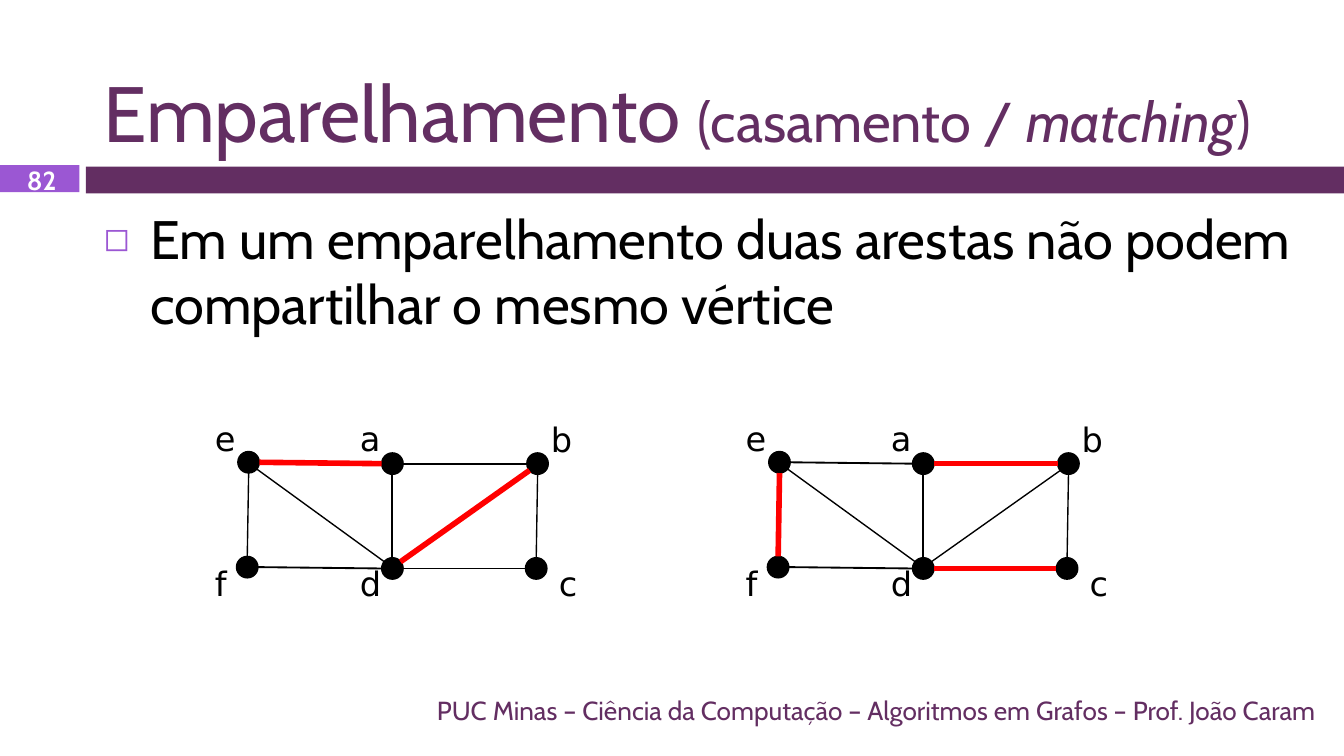
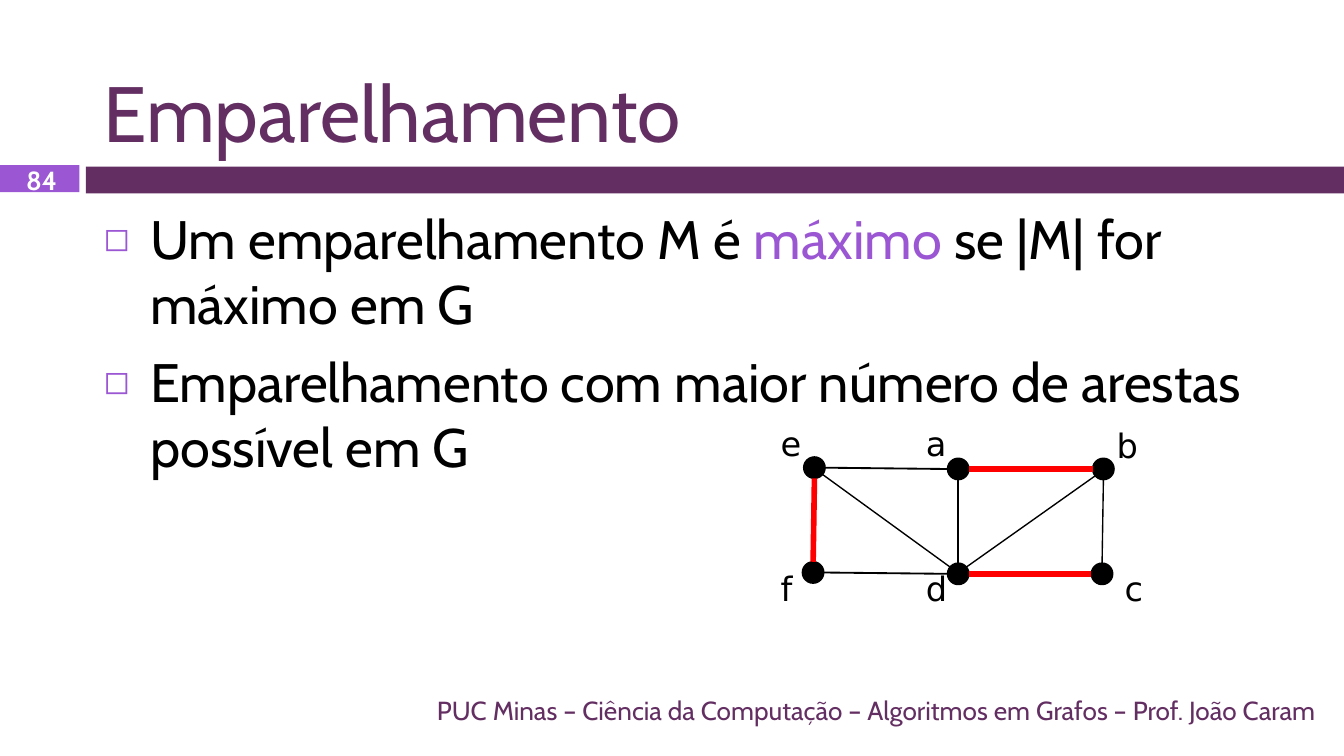
import math
from typing import NamedTuple, Optional

from lxml import etree
from pptx import Presentation
from pptx import util as u
from pptx.dml.color import RGBColor
from pptx.enum import shapes, text
from pptx.oxml.ns import qn

EMU_PER_PX = 9144  # 100 px to the inch
SLIDE_WIDTH = 1000

PLUM = RGBColor(0x63, 0x2E, 0x62)
VIOLET = RGBColor(0x9B, 0x57, 0xD3)
BLACK = RGBColor(0x00, 0x00, 0x00)
RED = RGBColor(0xFF, 0x00, 0x00)
WHITE = RGBColor(0xFF, 0xFF, 0xFF)

BODY_FONT = "Cabin"
LABEL_FONT = "DejaVu Sans"
FOOTER = "PUC Minas – Ciência da Computação – Algoritmos em Grafos – Prof. João Caram"

DIAMETER = 16
HAIRLINE, THIN, THICK = 0.75, 1, 3


class Box(NamedTuple):
    left: int
    top: int
    width: int
    height: int


class Span(NamedTuple):
    text: str
    size: Optional[int] = None
    italic: Optional[bool] = None
    color: Optional[RGBColor] = None


class Style(NamedTuple):
    size: int
    color: RGBColor
    font: str = BODY_FONT
    bold: bool = False
    align: text.PP_ALIGN = text.PP_ALIGN.LEFT
    anchor: text.MSO_ANCHOR = text.MSO_ANCHOR.TOP
    bulleted: bool = False


class Vertex(NamedTuple):
    """Corner of the dot and of its label, counted from the graph's origin."""
    x: int
    y: int
    label_x: int
    label_y: int


class Graph(NamedTuple):
    left: int
    top: int
    matching: tuple[str, ...]


class Page(NamedTuple):
    number: str
    title: list[Span]
    points: list[list[Span]]
    graphs: list[Graph]


TITLE = Style(42, PLUM, anchor=text.MSO_ANCHOR.BOTTOM)
POINT = Style(29, BLACK, bulleted=True)
NUMBER = Style(14, WHITE, bold=True, align=text.PP_ALIGN.CENTER, anchor=text.MSO_ANCHOR.MIDDLE)
CREDIT = Style(14, PLUM, align=text.PP_ALIGN.RIGHT, anchor=text.MSO_ANCHOR.MIDDLE)
LABEL = Style(18, BLACK, font=LABEL_FONT)

VERTICES = {
    "e": Vertex(0, 0, -27, -30),
    "a": Vertex(107, 1, 81, -30),
    "b": Vertex(215, 1, 223, -29),
    "f": Vertex(-1, 78, -27, 78),
    "d": Vertex(107, 79, 81, 78),
    "c": Vertex(214, 79, 229, 78),
}
EDGES = {
    "ea": THIN, "ab": THIN, "fd": THIN, "dc": THIN,
    "ef": HAIRLINE, "ad": THIN, "bc": HAIRLINE, "ed": HAIRLINE, "bd": HAIRLINE,
}

MAXIMUM_MATCHING = ("ef", "ab", "dc")
PAGES = [
    Page(
        "82",
        [Span("Emparelhamento "), Span("(casamento / ", 30),
         Span("matching", 30, True), Span(")", 30)],
        [[Span("Em um emparelhamento duas arestas não podem compartilhar o mesmo vértice")]],
        [Graph(177, 336, ("ea", "bd")), Graph(572, 336, MAXIMUM_MATCHING)],
    ),
    Page(
        "84",
        [Span("Emparelhamento")],
        [[Span("Um emparelhamento M é "), Span("máximo ", color=VIOLET),
          Span("se |M| for máximo em G")],
         [Span("Emparelhamento com maior número de arestas possível em G")]],
        [Graph(598, 340, MAXIMUM_MATCHING)],
    ),
]


def px(length: int) -> u.Emu:
    return u.Emu(length * EMU_PER_PX)


def add_bullet(paragraph) -> None:
    props = paragraph._p.get_or_add_pPr()
    props.set("marL", str(px(35)))
    props.set("indent", str(px(-35)))
    color = etree.SubElement(props, qn("a:buClr"))
    etree.SubElement(color, qn("a:srgbClr"), val=str(VIOLET))
    etree.SubElement(props, qn("a:buSzPct"), val="60000")
    etree.SubElement(props, qn("a:buFont"), typeface=LABEL_FONT)
    etree.SubElement(props, qn("a:buChar"), char="◻")


def add_text(slide, box: Box, paragraphs: list[list[Span]], style: Style) -> None:
    frame = slide.shapes.add_textbox(*map(px, box)).text_frame
    frame.word_wrap = True
    frame.vertical_anchor = style.anchor
    for index, spans in enumerate(paragraphs):
        paragraph = frame.add_paragraph() if index else frame.paragraphs[0]
        if style.bulleted:
            add_bullet(paragraph)
        if index:
            paragraph.space_before = u.Pt(7)
        paragraph.alignment = style.align
        font = paragraph.font
        font.name, font.size, font.bold = style.font, u.Pt(style.size), style.bold
        font.color.rgb = style.color
        for span in spans:
            run = paragraph.add_run()
            run.text = span.text
            if span.size:
                run.font.size = u.Pt(span.size)
            if span.italic:
                run.font.italic = True
            if span.color is not None:
                run.font.color.rgb = span.color


def add_filled(slide, kind: shapes.MSO_SHAPE, box: Box, color: RGBColor):
    shape = slide.shapes.add_shape(kind, *map(px, box))
    shape.shadow.inherit = False
    shape.fill.solid()
    shape.fill.fore_color.rgb = color
    shape.line.fill.background()
    return shape


def add_edge(slide, graph: Graph, ends: str) -> None:
    """Draw a line between the rims of two vertices."""
    start, finish = (VERTICES[name] for name in ends)
    dx, dy = finish.x - start.x, finish.y - start.y
    radius = DIAMETER // 2
    trim = radius / math.hypot(dx, dy)
    trim_x, trim_y = round(dx * trim), round(dy * trim)
    left, top = graph.left + radius, graph.top + radius
    edge = slide.shapes.add_connector(
        shapes.MSO_CONNECTOR.STRAIGHT,
        px(left + start.x + trim_x), px(top + start.y + trim_y),
        px(left + finish.x - trim_x), px(top + finish.y - trim_y))
    matched = ends in graph.matching
    edge.line.color.rgb = RED if matched else BLACK
    edge.line.width = u.Pt(THICK if matched else EDGES[ends])
    etree.SubElement(edge._element.spPr, qn("a:effectLst"))


def add_graph(slide, graph: Graph) -> None:
    for name, vertex in VERTICES.items():
        dot = add_filled(
            slide, shapes.MSO_SHAPE.OVAL,
            Box(graph.left + vertex.x, graph.top + vertex.y, DIAMETER, DIAMETER), BLACK)
        dot.line.color.rgb = BLACK
        dot.line.width = u.Pt(HAIRLINE)
        label_box = Box(graph.left + vertex.label_x, graph.top + vertex.label_y, 34, 40)
        add_text(slide, label_box, [[Span(name)]], LABEL)
    for ends in EDGES:
        add_edge(slide, graph, ends)


def add_page(deck, page: Page) -> None:
    slide = deck.slides.add_slide(deck.slide_layouts[6])
    add_filled(slide, shapes.MSO_SHAPE.RECTANGLE, Box(64, 124, SLIDE_WIDTH - 64, 20), PLUM)
    add_filled(slide, shapes.MSO_SHAPE.RECTANGLE, Box(0, 123, 59, 20), VIOLET)
    add_text(slide, Box(67, 13, 922, 110), [page.title], TITLE)
    add_text(slide, Box(67, 148, 922, 358), page.points, POINT)
    add_text(slide, Box(2, 124, 58, 20), [[Span(page.number)]], NUMBER)
    add_text(slide, Box(67, 513, 922, 30), [[Span(FOOTER)]], CREDIT)
    for graph in page.graphs:
        add_graph(slide, graph)


def main() -> None:
    deck = Presentation()
    deck.slide_width = px(SLIDE_WIDTH)
    deck.slide_height = u.Emu(px(SLIDE_WIDTH) * 9 // 16)
    for page in PAGES:
        add_page(deck, page)
    deck.save("out.pptx")


if __name__ == "__main__":
    main()
